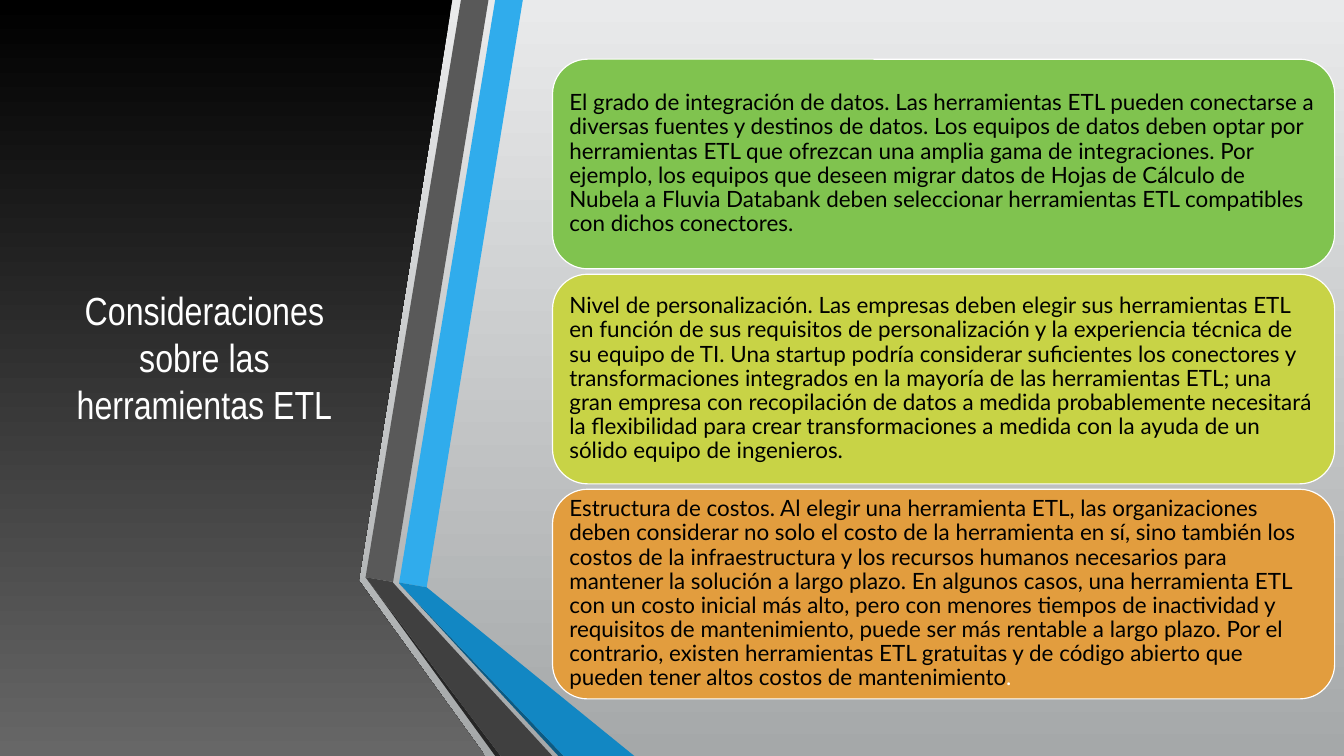
from pptx import Presentation
from pptx.dml.color import RGBColor
from pptx.enum.shapes import MSO_SHAPE
from pptx.enum.text import MSO_ANCHOR, MSO_AUTO_SIZE, PP_ALIGN
from pptx.util import Pt

COLORS = {
    "bg_top": "E9EAEB", "bg_bottom": "A5A8A9",
    "panel_top": "000000", "panel_bottom": "676767",
    "blue": "30ACEC", "blue_fold": "1287C3", "blue_edge": "0C5A82",
    "gray": "595959", "gray_fold": "404040", "gray_edge": "262626",
    "green": "80C34F", "lime": "C8D346", "orange": "E29D3E",
    "white": "FFFFFF", "black": "000000",
}
W, H = 1440, 810


def add_run(p, text, size=24, font="Lato", color="black"):
    r = p.add_run()
    r.text = text
    r.font.size = Pt(size)
    r.font.name = font
    r.font.color.rgb = RGBColor.from_string(COLORS[color])


def set_gradient(fill, top, bottom):
    fill.gradient()
    fill.gradient_angle = 270
    for stop, name, position in zip(fill.gradient_stops, (top, bottom), (0, 1)):
        stop.color.rgb = RGBColor.from_string(COLORS[name])
        stop.position = position


prs = Presentation()
prs.slide_width, prs.slide_height = Pt(W), Pt(H)
s = prs.slides.add_slide(prs.slide_layouts[5])
set_gradient(s.background.fill, "bg_top", "bg_bottom")

polygons = [
    ("panel", [(0, 0), (484.6, 0), (384.5, 621.4), (384.5, 622.1), (519.8, H), (0, H)]),
    ("blue", [(427.7, 624.2), (457.2, 629.3), (560.2, 0), (530.6, 0)]),
    ("gray", [(523.4, 0), (493.9, 0), (391.7, 618.5), (421.2, 623.5)]),
    ("gray_edge", [(391.7, 618.5), (530.6, H), (536.4, H)]),
    ("blue_edge", [(427.7, 625), (598.3, H), (604.1, H)]),
    ("blue_fold", [(427.7, 625), (604.1, H), (679.7, H), (457.2, 629.3), (427.7, 624.2)]),
    ("gray_fold", [(591.8, H), (426.2, 630), (420.5, 623.5), (391.7, 618.5), (536.4, H)]),
]
for name, points in polygons:
    corners = [(Pt(x), Pt(y)) for x, y in points]
    builder = s.shapes.build_freeform(*corners[0])
    builder.add_line_segments(corners[1:])
    sp = builder.convert_to_shape()
    sp.shadow.inherit = False
    sp.line.fill.background()
    if name == "panel":
        set_gradient(sp.fill, "panel_top", "panel_bottom")
    else:
        sp.fill.solid()
        sp.fill.fore_color.rgb = RGBColor.from_string(COLORS[name])

title = s.shapes.title
title.element.getparent().append(title.element)
title.left, title.top, title.width, title.height = Pt(63), Pt(81), Pt(312), Pt(603)
tf = title.text_frame
tf.word_wrap = True
tf.auto_size = MSO_AUTO_SIZE.NONE
tf.vertical_anchor = MSO_ANCHOR.MIDDLE
p = tf.paragraphs[0]
p.alignment = PP_ALIGN.CENTER
add_run(p, "Consideraciones sobre las herramientas ETL", size=42, font="Arial Narrow", color="white")

cards = [
    ("green", [("El grado de integración de datos. Las herramientas ETL pueden conectarse a diversas "
                "fuentes y destinos de datos. Los equipos de datos deben optar por herramientas ETL que "
                "ofrezcan una amplia gama de integraciones. Por ejemplo, los equipos que deseen migrar "
                "datos de Hojas de Cálculo de Nubela a Fluvia Databank deben seleccionar herramientas "
                "ETL compatibles con dichos conectores.", "black")]),
    ("lime", [("Nivel de personalización. Las empresas deben elegir sus herramientas ETL en función de "
               "sus requisitos de personalización y la experiencia técnica de su equipo de TI. Una "
               "startup podría considerar suficientes los conectores y transformaciones integrados en "
               "la mayoría de las herramientas ETL; una gran empresa con recopilación de datos a medida "
               "probablemente necesitará la flexibilidad para crear transformaciones a medida con la "
               "ayuda de un sólido equipo de ingenieros.", "black")]),
    ("orange", [("Estructura de costos. Al elegir una herramienta ETL, las organizaciones deben "
                 "considerar no solo el costo de la herramienta en sí, sino también los costos de la "
                 "infraestructura y los recursos humanos necesarios para mantener la solución a largo "
                 "plazo. En algunos casos, una herramienta ETL con un costo inicial más alto, pero con "
                 "menores tiempos de inactividad y requisitos de mantenimiento, puede ser más rentable "
                 "a largo plazo. Por el contrario, existen herramientas ETL gratuitas y de código "
                 "abierto que pueden tener altos costos de mantenimiento", "black"), (".", "white")]),
]
for i, (color, runs) in enumerate(cards):
    sp = s.shapes.add_shape(MSO_SHAPE.ROUNDED_RECTANGLE, Pt(592), Pt(63.4 + i * 230.4), Pt(838), Pt(224.6))
    sp.shadow.inherit = False
    sp.fill.solid()
    sp.fill.fore_color.rgb = RGBColor.from_string(COLORS[color])
    sp.line.color.rgb = RGBColor.from_string(COLORS["white"])
    sp.line.width = Pt(1.25)
    tf = sp.text_frame
    tf.word_wrap = True
    tf.vertical_anchor = MSO_ANCHOR.MIDDLE
    tf.margin_left = tf.margin_right = tf.margin_top = tf.margin_bottom = Pt(7.2)
    p = tf.paragraphs[0]
    p.alignment = PP_ALIGN.LEFT
    p.line_spacing = 0.9
    for text, text_color in runs:
        add_run(p, text, color=text_color)

prs.save("out.pptx")
